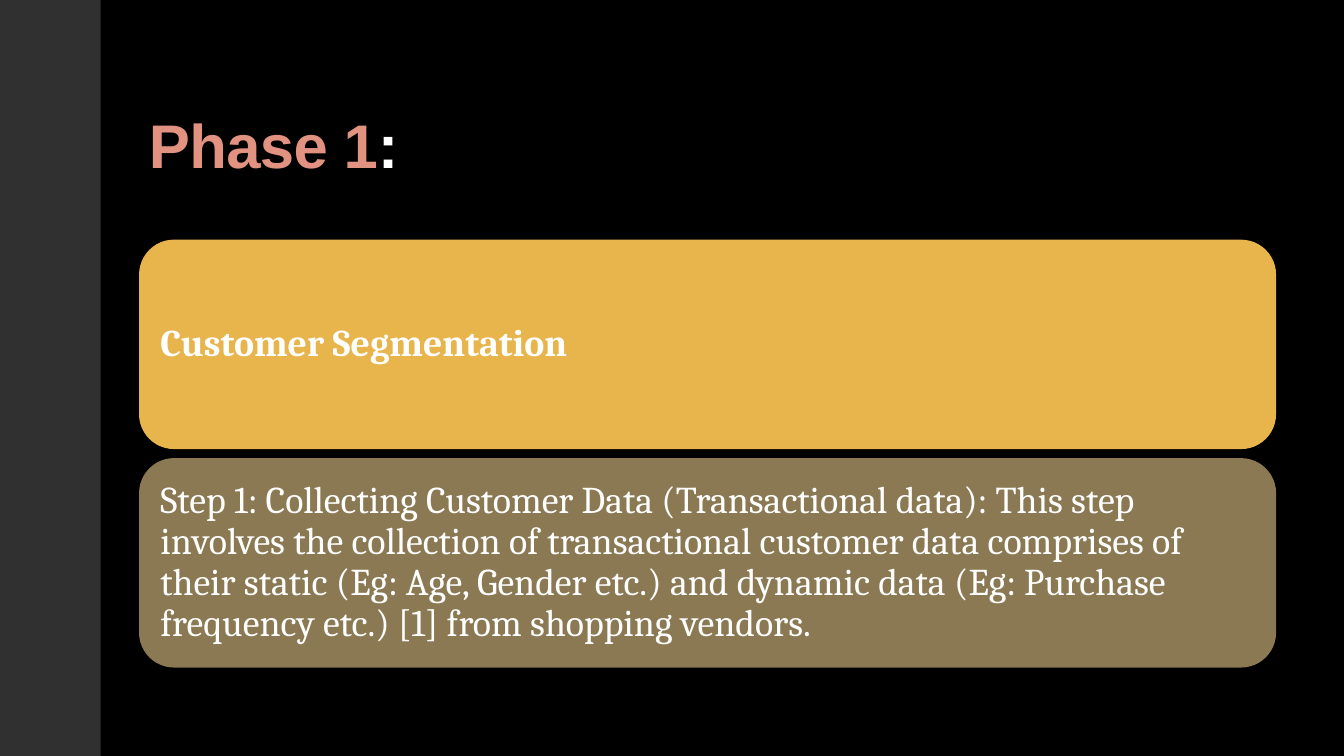
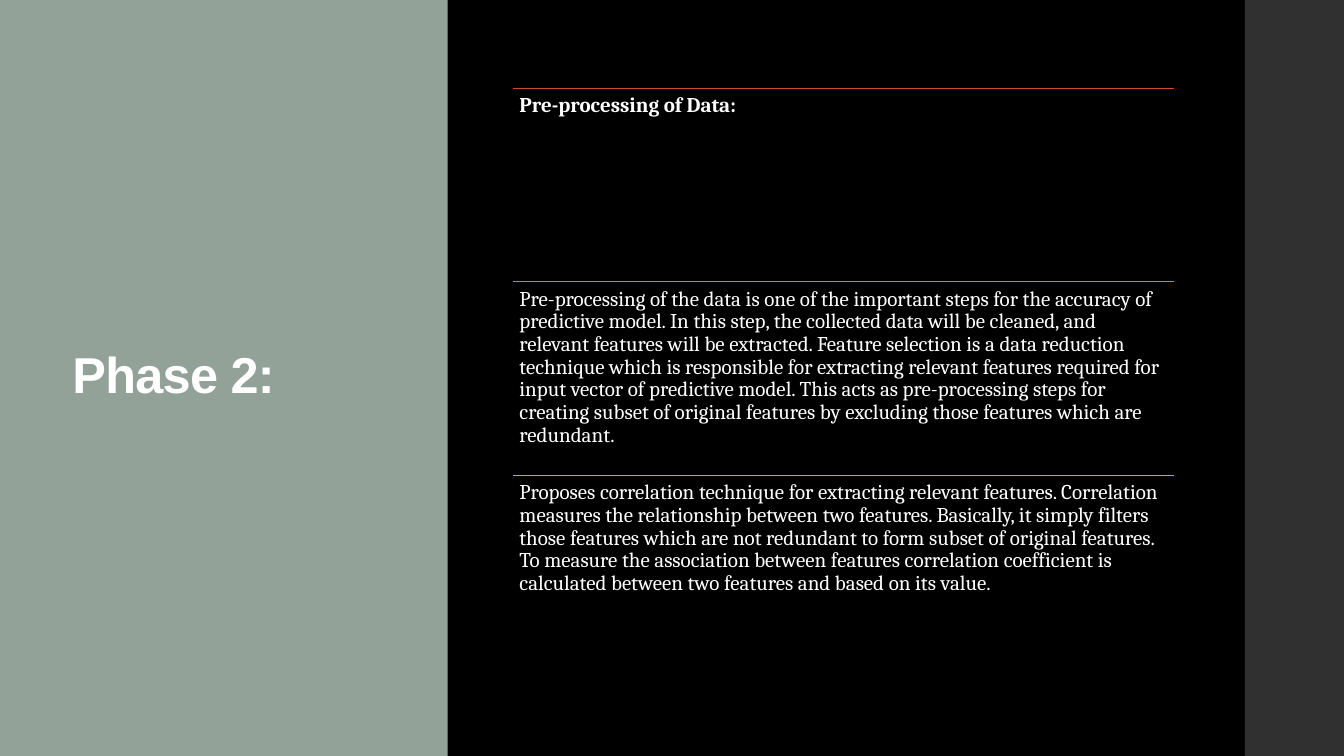
from pptx import Presentation
from pptx import util as u
from pptx.dml.color import RGBColor
from pptx.enum import shapes, text
from lxml import etree

BLACK = RGBColor(0x00, 0x00, 0x00)
WHITE = RGBColor(0xFF, 0xFF, 0xFF)
CHARCOAL = RGBColor(0x30, 0x30, 0x30)
SAGE = RGBColor(0x93, 0xA2, 0x99)
SALMON = RGBColor(0xE1, 0x92, 0x81)
GOLD = RGBColor(0xE8, 0xB5, 0x4D)
OLIVE = RGBColor(0x8A, 0x79, 0x52)
RED = RGBColor(0xCB, 0x4B, 0x30)
AMBER = RGBColor(0xC1, 0x87, 0x41)
LIME = RGBColor(0xB5, 0xAE, 0x53)
TITLE_FONT, BODY_FONT = "Arial", "Cambria"
BAND_WIDTH = 7.5

presentation = Presentation()
presentation.slide_width = u.Inches(13.33)
presentation.slide_height = u.Inches(7.5)

# Grid of 100 columns by 100 rows
COLUMN = presentation.slide_width / 100
ROW = presentation.slide_height / 100


def add_block(slide, left, top, width, height, fill=None,
              preset=shapes.MSO_SHAPE.RECTANGLE):
    """Add a filled shape, or a text box when there is no fill."""
    box = [int(left * COLUMN), int(top * ROW), int(width * COLUMN), int(height * ROW)]
    if fill is None:
        return slide.shapes.add_textbox(*box)
    shape = slide.shapes.add_shape(preset, *box)
    shape.shadow.inherit = False
    shape.fill.solid()
    shape.fill.fore_color.rgb = fill
    shape.line.fill.background()
    return shape


def write(shape, runs, size, anchor, inset=None, font=BODY_FONT, bold=False, tracking=0):
    """Write (wording, colour) runs as one left-aligned paragraph."""
    frame = shape.text_frame
    frame.word_wrap = True
    frame.vertical_anchor = anchor
    if inset is not None:
        frame.margin_left = frame.margin_right = u.Inches(inset)
        frame.margin_top = frame.margin_bottom = u.Inches(inset)
    paragraph = frame.paragraphs[0]
    paragraph.alignment = text.PP_ALIGN.LEFT
    paragraph.line_spacing = 0.9
    for wording, colour in runs:
        run = paragraph.add_run()
        run.text = wording
        run.font.name = font
        run.font.size = u.Pt(size)
        run.font.bold = bold
        run.font.color.rgb = colour
        if tracking:
            run._r.get_or_add_rPr().set("spc", str(tracking))


TOP, MIDDLE, BOTTOM = (text.MSO_ANCHOR.TOP, text.MSO_ANCHOR.MIDDLE, text.MSO_ANCHOR.BOTTOM)
TITLE_STYLE = {"font": TITLE_FONT, "bold": True, "tracking": -50}

# Both slides: black background and a charcoal band
slides = []
for band_left in (0, 100 - BAND_WIDTH + 0.12):
    slide = presentation.slides.add_slide(presentation.slide_layouts[6])
    slide.background.fill.solid()
    slide.background.fill.fore_color.rgb = BLACK
    add_block(slide, band_left, 0, min(BAND_WIDTH, 100 - band_left), 100, CHARCOAL)
    slides.append(slide)
phase_one, phase_two = slides

# Phase 1: title above two rounded cards
title = add_block(phase_one, 10.35, 5.33, 84.6, 19.33)
write(title, [("Phase 1", SALMON), (":", WHITE)], 44, BOTTOM, **TITLE_STYLE)

cards = [
    ("Customer Segmentation", GOLD, True),
    ("Step 1: Collecting Customer Data (Transactional data): This step involves the "
     "collection of transactional customer data comprises of their static (Eg: Age, "
     "Gender etc.) and dynamic data (Eg: Purchase frequency etc.) [1] from shopping "
     "vendors.", OLIVE, False),
]
for index, (wording, colour, bold) in enumerate(cards):
    card = add_block(phase_one, 10.35, 31.7 + index * 28.9, 84.6, 27.7, colour,
                     shapes.MSO_SHAPE.ROUNDED_RECTANGLE)
    write(card, [(wording, WHITE)], 27, MIDDLE, inset=0.11, bold=bold)

# Phase 2: title on a sage panel
add_block(phase_two, 0, 0, 33.3, 100, SAGE)
title = add_block(phase_two, 4.65, 12.13, 22.3, 75.6)
write(title, [("Phase 2:", WHITE)], 36, MIDDLE, **TITLE_STYLE)

# Phase 2: three ruled rows of text
ruled_rows = [
    ("Pre-processing of Data:", RED, True),
    ("Pre-processing of the data is one of the important steps for the accuracy of "
     "predictive model. In this step, the collected data will be cleaned, and relevant "
     "features will be extracted. Feature selection is a data reduction technique which "
     "is responsible for extracting relevant features required for input vector of "
     "predictive model. This acts as pre-processing steps for creating subset of "
     "original features by excluding those features which are redundant.", AMBER, False),
    ("Proposes correlation technique for extracting relevant features. Correlation "
     "measures the relationship between two features. Basically, it simply filters those "
     "features which are not redundant to form subset of original features. To measure "
     "the association between features correlation coefficient is calculated between two "
     "features and based on its value.", LIME, False),
]
LIST_LEFT, LIST_TOP, LIST_WIDTH, ROW_HEIGHT = 38.2, 11.7, 49.15, 25.6
for index, (wording, colour, bold) in enumerate(ruled_rows):
    top = LIST_TOP + index * ROW_HEIGHT
    rule = phase_two.shapes.add_connector(
        shapes.MSO_CONNECTOR.STRAIGHT, int(LIST_LEFT * COLUMN), int(top * ROW),
        int((LIST_LEFT + LIST_WIDTH) * COLUMN), int(top * ROW))
    rule.line.color.rgb = colour
    rule.line.width = u.Pt(0.75)
    etree.SubElement(rule._element.spPr,
                     "{http://schemas.openxmlformats.org/drawingml/2006/main}effectLst")
    row_text = add_block(phase_two, LIST_LEFT, top, LIST_WIDTH, ROW_HEIGHT)
    write(row_text, [(wording, WHITE)], 15, TOP, inset=0.06, bold=bold)

presentation.save("out.pptx")
